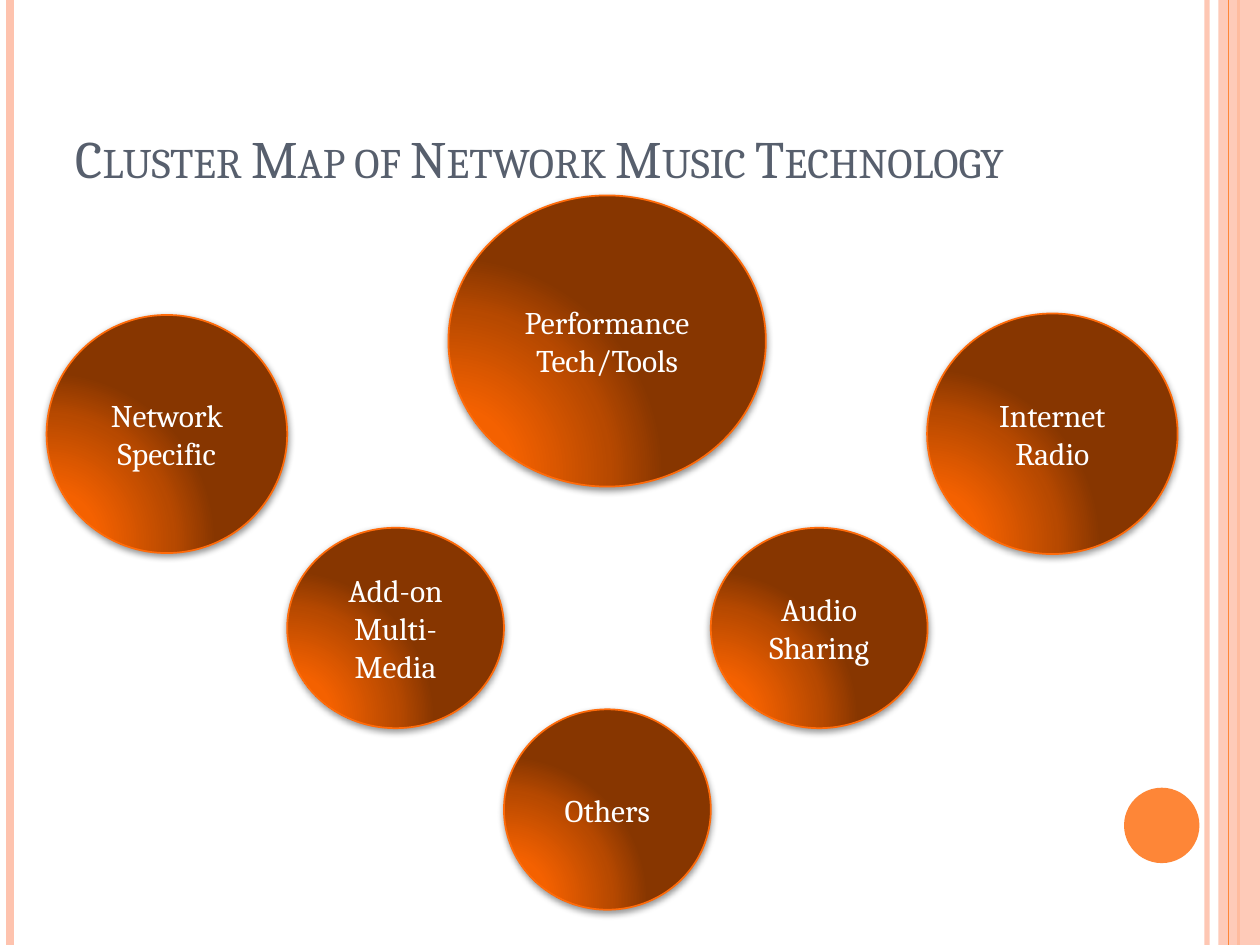
from typing import NamedTuple

from lxml import etree
from pptx import Presentation
from pptx.dml.color import RGBColor
from pptx.enum.shapes import MSO_CONNECTOR as Connector, MSO_SHAPE as Shape
from pptx.enum.text import MSO_ANCHOR as Anchor, PP_ALIGN as Align
from pptx.oxml import parse_xml
from pptx.oxml.ns import nsdecls, qn
from pptx.util import Cm, Pt

WHITE = RGBColor(0xFF, 0xFF, 0xFF)
SLATE = RGBColor(0x57, 0x5F, 0x6D)
PEACH = RGBColor(0xFE, 0xC3, 0xAE)
ORANGE = RGBColor(0xFE, 0x86, 0x37)
RIM = RGBColor(0xFF, 0x6B, 0x0A)
GLOW = (
    (0, RGBColor(0xFD, 0x64, 0x00)),
    (30, RGBColor(0xF4, 0x61, 0x00)),
    (75, RGBColor(0xB7, 0x49, 0x00)),
    (100, RGBColor(0x87, 0x36, 0x00)),
)
WIDTH, HEIGHT = 25.4, 19.05


class Stripe(NamedTuple):
    x: float
    weight: float
    color: RGBColor
    opacity: int = 100


class Cluster(NamedTuple):
    label: str
    left: float
    top: float
    width: float
    height: float


# The stripes lie below and above the translucent side band
STRIPES_BELOW = (
    Stripe(24.33, 3, PEACH, 93),
    Stripe(0.2, 4.5, PEACH),
    Stripe(24.97, 1.5, ORANGE),
)
STRIPE_ABOVE = Stripe(24.77, 0.75, ORANGE)

CLUSTERS = (
    Cluster("Internet Radio", 18.69, 6.32, 5.05, 4.85),
    Cluster("Others", 10.16, 14.3, 4.17, 4.04),
    Cluster("Audio Sharing", 14.33, 10.64, 4.37, 4.04),
    Cluster("Performance Tech/Tools", 9.04, 3.94, 6.4, 5.87),
    Cluster("Network\nSpecific", 0.94, 6.35, 4.85, 4.8),
    Cluster("Add-on Multi- Media", 5.79, 10.64, 4.37, 4.04),
)


def set_opacity(properties, percent: int) -> None:
    color = next(properties.iter(qn("a:srgbClr")))
    etree.SubElement(color, qn("a:alpha"), val=str(percent * 1000))


def write(shape, text: str, *, size: float, color: RGBColor, align=Align.LEFT,
          anchor=Anchor.MIDDLE, small_caps: bool = False) -> None:
    frame = shape.text_frame
    frame.word_wrap = True
    frame.vertical_anchor = anchor
    frame.text = text
    for paragraph in frame.paragraphs:
        paragraph.alignment = align
        for run in paragraph.runs:
            run.font.name = "Cambria"
            run.font.size = Pt(size)
            run.font.color.rgb = color
            if small_caps:
                run.font._element.set("cap", "small")


def draw_stripe(slide, stripe: Stripe) -> None:
    line = slide.shapes.add_connector(
        Connector.STRAIGHT, Cm(stripe.x), 0, Cm(stripe.x), Cm(HEIGHT))
    line.line.color.rgb = stripe.color
    line.line.width = Pt(stripe.weight)
    properties = line._element.spPr
    if stripe.opacity < 100:
        set_opacity(properties, stripe.opacity)
    etree.SubElement(properties, qn("a:effectLst"))


def draw_plain(slide, kind, left: float, top: float, width: float,
               height: float, color: RGBColor):
    shape = slide.shapes.add_shape(kind, Cm(left), Cm(top), Cm(width), Cm(height))
    shape.shadow.inherit = False
    shape.fill.solid()
    shape.fill.fore_color.rgb = color
    shape.line.fill.background()
    return shape


def draw_cluster(slide, cluster: Cluster) -> None:
    label, *box = cluster
    circle = draw_plain(slide, Shape.OVAL, *box, RIM)
    circle.line.color.rgb = RIM
    circle.line.width = Pt(1)
    properties = circle._element.spPr

    # Radial glow from the lower left
    stops = "".join(
        f'<a:gs pos="{position * 1000}"><a:srgbClr val="{color}"/></a:gs>'
        for position, color in GLOW)
    properties.replace(properties.find(qn("a:solidFill")), parse_xml(
        f'<a:gradFill {nsdecls("a")} rotWithShape="1"><a:gsLst>{stops}</a:gsLst>'
        '<a:path path="circle">'
        '<a:fillToRect l="5000" t="100000" r="120000" b="10000"/>'
        '</a:path></a:gradFill>'))

    # Soft shadow straight below
    properties.find(qn("a:effectLst")).append(parse_xml(
        f'<a:outerShdw {nsdecls("a")} blurRad="{Pt(4)}" dist="{Pt(1.6)}" '
        'dir="5400000" rotWithShape="0"><a:srgbClr val="000000">'
        '<a:alpha val="42000"/></a:srgbClr></a:outerShdw>'))
    write(circle, label, size=18, color=WHITE, align=Align.CENTER)


def main() -> None:
    deck = Presentation()
    deck.slide_width, deck.slide_height = Cm(WIDTH), Cm(HEIGHT)
    slide = deck.slides.add_slide(deck.slide_layouts[6])

    # Side decoration
    for stripe in STRIPES_BELOW:
        draw_stripe(slide, stripe)
    band = draw_plain(slide, Shape.RECTANGLE, 24.56, 0, 0.84, HEIGHT, PEACH)
    set_opacity(band._element.spPr, 87)
    draw_stripe(slide, STRIPE_ABOVE)
    draw_plain(slide, Shape.OVAL, 22.66, 15.88, 1.52, 1.52, ORANGE)

    # Title
    title = slide.shapes.add_textbox(Cm(1.27), Cm(0.76), Cm(20.75), Cm(3.18))
    write(title, "Cluster Map of Network Music Technology", size=30,
          color=SLATE, anchor=Anchor.BOTTOM, small_caps=True)

    # Cluster map
    for cluster in CLUSTERS:
        draw_cluster(slide, cluster)

    deck.save("out.pptx")


if __name__ == "__main__":
    main()
